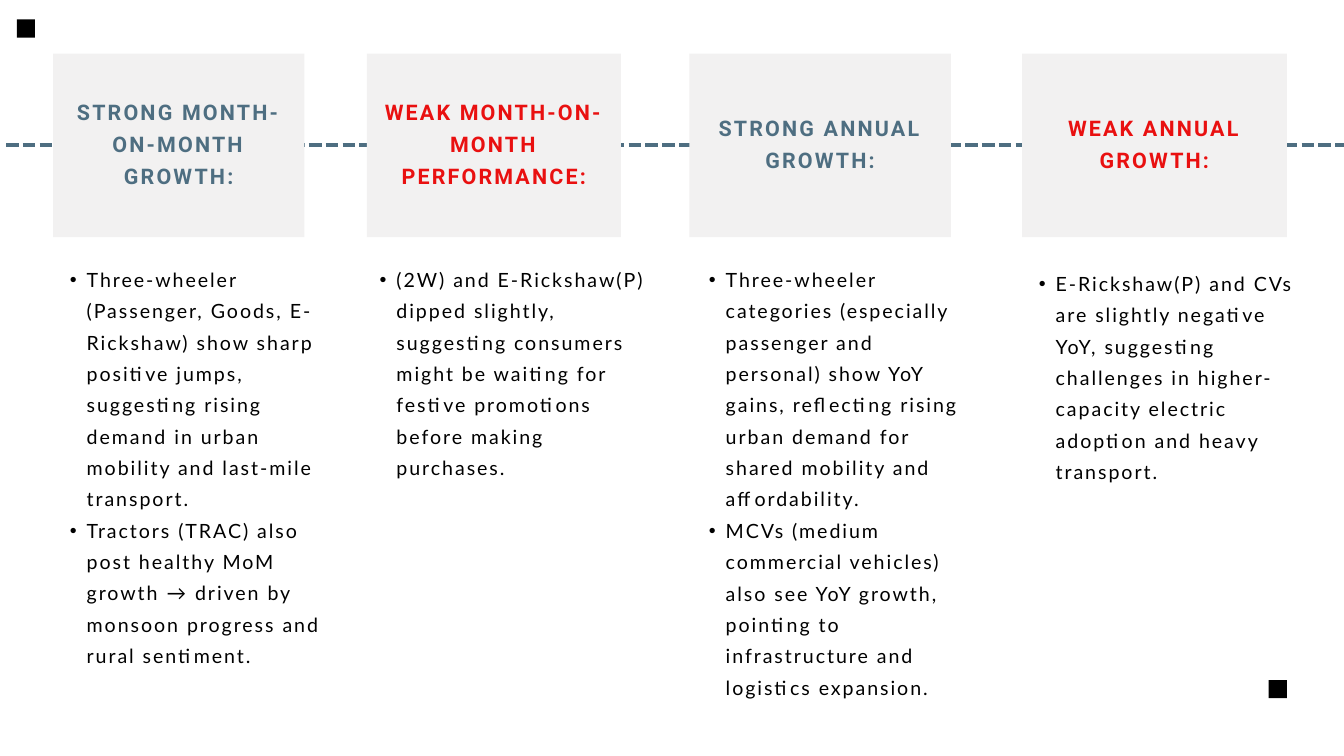
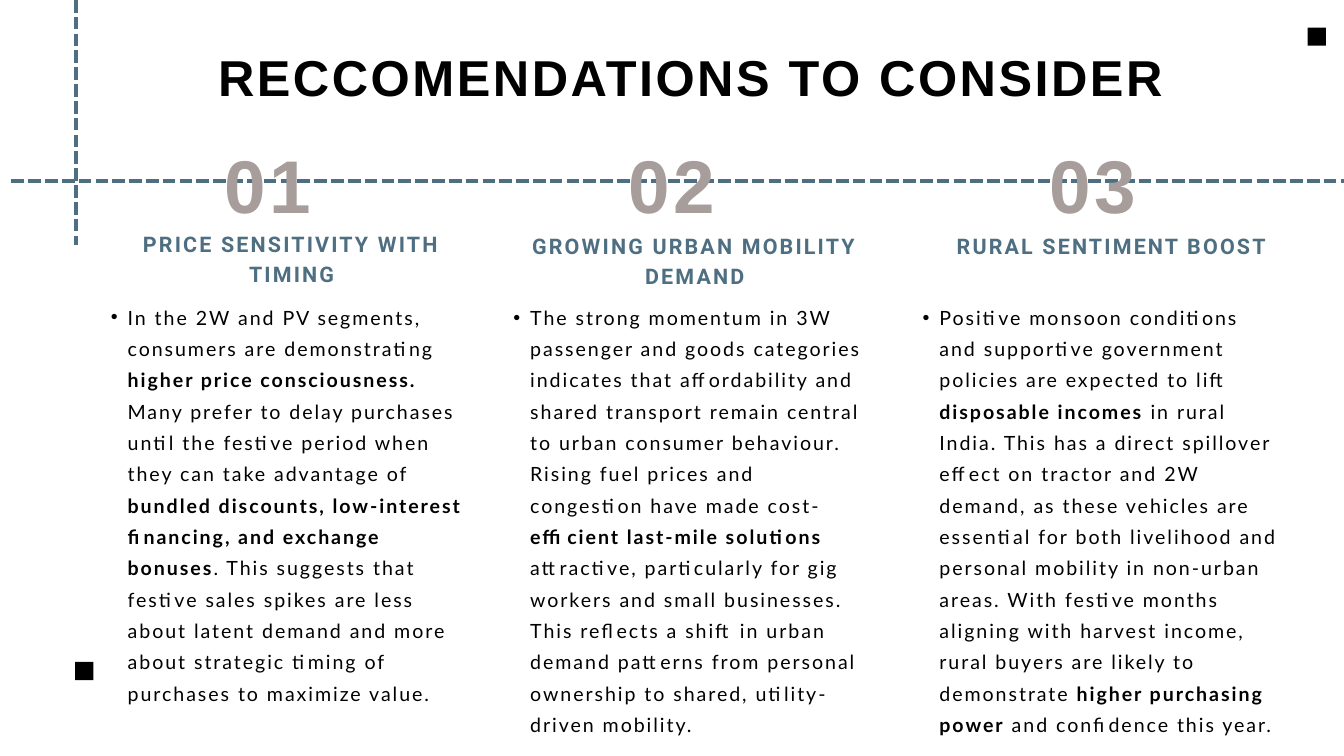
from lxml.etree import SubElement
from pptx import Presentation
from pptx.dml.color import RGBColor
from pptx.enum.dml import MSO_LINE_DASH_STYLE as Dash
from pptx.enum.shapes import MSO_CONNECTOR as Connector, MSO_SHAPE as Shape
from pptx.enum.text import MSO_ANCHOR as Anchor, MSO_AUTO_SIZE as AutoSize, PP_ALIGN as Align
from pptx.oxml.ns import qn
from pptx.util import Inches, Pt

BLACK = RGBColor(0x00, 0x00, 0x00)
STEEL = RGBColor(0x4E, 0x6E, 0x81)
RED = RGBColor(0xE9, 0x10, 0x10)
TAUPE = RGBColor(0xA7, 0x9E, 0x9C)
PALE = RGBColor(0xF2, 0xF1, 0xF1)

COLUMNS, ROWS = 20, 11.25
TITLE_ONLY, BLANK = 5, 6
MARKER_SIZE = 0.27

# Text styles: font values, letter spacing as a share of the size, line height in points
TITLE = {"font": {"name": "Arial", "size": Pt(54), "bold": True}, "color": BLACK,
         "size": 54, "tracking": 0.05, "leading": 75.6}
NUMBER = {"font": {"name": "Arial", "size": Pt(80), "bold": True}, "color": TAUPE,
          "size": 80, "tracking": 0.05, "leading": 112}
HEADING = {"font": {"name": "Roboto", "size": Pt(23), "bold": True}, "color": STEEL,
           "size": 23, "tracking": 0.1, "leading": 32.2}
CARD = {**HEADING, "leading": 34.5}
BODY = {"font": {"name": "Lato", "size": Pt(21), "bold": False}, "color": BLACK,
        "size": 21, "tracking": 0.1, "leading": 33.6}


def set_values(target, values):
    for name, value in values.items():
        setattr(target, name, value)


class Deck:
    """Holds the style and the current slide; places elements by column and row."""

    def __init__(self):
        self.presentation = Presentation()
        set_values(self.presentation, {"slide_width": Inches(20), "slide_height": Inches(11.25)})
        self.slide = None

    def add_slide(self, layout):
        self.slide = self.presentation.slides.add_slide(self.presentation.slide_layouts[layout])

    def x(self, columns):
        return round(self.presentation.slide_width * columns / COLUMNS)

    def y(self, rows):
        return round(self.presentation.slide_height * rows / ROWS)

    def area(self, left, top, width, height):
        return self.x(left), self.y(top), self.x(width), self.y(height)

    def fill_text(self, shape, paragraphs, style, align=Align.CENTER, bullets=False,
                  **frame_values):
        """Fill a shape with text; words between double asterisks are bold."""
        frame = shape.text_frame
        set_values(frame, {"word_wrap": True, "auto_size": AutoSize.NONE,
                           "vertical_anchor": Anchor.TOP, "margin_left": 0, "margin_right": 0,
                           "margin_top": 0, "margin_bottom": 0, **frame_values})
        for index, text in enumerate(paragraphs):
            paragraph = frame.add_paragraph() if index else frame.paragraphs[0]
            set_values(paragraph, {"alignment": align, "line_spacing": Pt(style["leading"]),
                                   "space_before": Pt(0), "space_after": Pt(0)})
            if bullets:
                self.add_bullet(paragraph)
            for part, words in enumerate(text.split("**")):
                run = paragraph.add_run()
                run.text = words
                set_values(run.font, style["font"])
                run.font.color.rgb = style["color"]
                if part % 2:
                    run.font.bold = True
                spacing = round(style["size"] * style["tracking"] * 100)
                run._r.get_or_add_rPr().set("spc", str(spacing))

    def add_bullet(self, paragraph):
        paragraph.level = 1
        properties = paragraph._p.get_or_add_pPr()
        properties.set("marL", str(Inches(0.5)))
        properties.set("indent", str(-Inches(0.25)))
        SubElement(properties, qn("a:buFont")).set("typeface", "Arial")
        SubElement(properties, qn("a:buChar")).set("char", "•")

    def title(self, text, left, top, width, height):
        shape = self.slide.shapes.title
        names = ("left", "top", "width", "height")
        set_values(shape, dict(zip(names, self.area(left, top, width, height))))
        self.fill_text(shape, [text], TITLE)

    def text(self, text, style, *area):
        self.fill_text(self.slide.shapes.add_textbox(*self.area(*area)), [text], style)

    def bullets(self, paragraphs, *area):
        box = self.slide.shapes.add_textbox(*self.area(*area))
        self.fill_text(box, paragraphs, BODY, align=Align.LEFT, bullets=True)

    def block(self, color, *area):
        shape = self.slide.shapes.add_shape(Shape.RECTANGLE, *self.area(*area))
        shape.shadow.inherit = False
        shape.fill.solid()
        shape.fill.fore_color.rgb = color
        shape.line.fill.background()
        return shape

    def card(self, text, color, *area):
        self.fill_text(self.block(PALE, *area), [text], {**CARD, "color": color},
                       vertical_anchor=Anchor.MIDDLE, margin_left=Inches(0.06),
                       margin_right=Inches(0.06), margin_top=Inches(0.06),
                       margin_bottom=Inches(0.2))

    def marker(self, left, top):
        self.block(BLACK, left, top, MARKER_SIZE, MARKER_SIZE)

    def dashed_line(self, left, top, right, bottom):
        line = self.slide.shapes.add_connector(Connector.STRAIGHT, self.x(left), self.y(top),
                                               self.x(right), self.y(bottom))
        set_values(line.line, {"width": Pt(4.5), "dash_style": Dash.SQUARE_DOT})
        line.line.color.rgb = STEEL
        SubElement(line._element.spPr, qn("a:effectLst"))


# Card: heading, colour, left, width; bullets: left, top, height, paragraphs
GROWTH = [
    (("STRONG MONTH-ON-MONTH GROWTH:", STEEL, 0.79, 3.74), (0.79, 3.87, 5.94, [
        "Three-wheeler (Passenger, Goods, E-Rickshaw) show sharp positive jumps, suggesting "
        "rising demand in urban mobility and last-mile transport.",
        "Tractors (TRAC) also post healthy MoM growth → driven by monsoon progress and rural "
        "sentiment."])),
    (("WEAK MONTH-ON-MONTH PERFORMANCE:", RED, 5.46, 3.78), (5.4, 3.87, 3.19, [
        "(2W) and E-Rickshaw(P) dipped slightly, suggesting consumers might be waiting for "
        "festive promotions before making purchases."])),
    (("STRONG ANNUAL GROWTH:", STEEL, 10.26, 3.89), (10.3, 3.87, 6.39, [
        "Three-wheeler categories (especially passenger and personal) show YoY gains, "
        "reflecting rising urban demand for shared mobility and affordability.",
        "MCVs (medium commercial vehicles) also see YoY growth, pointing to infrastructure "
        "and logistics expansion."])),
    (("WEAK ANNUAL GROWTH:", RED, 15.21, 3.94), (15.21, 3.93, 3.19, [
        "E-Rickshaw(P) and CVs are slightly negative YoY, suggesting challenges in "
        "higher-capacity electric adoption and heavy transport."])),
]

# Number left; heading, its left, top and height; advice left, height and text
RECOMMENDATIONS = [
    (1.37, ("PRICE SENSITIVITY WITH TIMING", 1.73, 3.38, 0.86), (1.4, 5.94,
        "In the 2W and PV segments, consumers are demonstrating **higher price "
        "consciousness.** Many prefer to delay purchases until the festive period when they "
        "can take advantage of **bundled discounts, low-interest financing, and exchange "
        "bonuses**. This suggests that festive sales spikes are less about latent demand and "
        "more about strategic timing of purchases to maximize value.")),
    (7.39, ("GROWING URBAN MOBILITY DEMAND", 7.73, 3.41, 0.86), (7.39, 6.39,
        "The strong momentum in 3W passenger and goods categories indicates that "
        "affordability and shared transport remain central to urban consumer behaviour. "
        "Rising fuel prices and congestion have made cost-**efficient last-mile solutions** "
        "attractive, particularly for gig workers and small businesses. This reflects a shift "
        "in urban demand patterns from personal ownership to shared, utility-driven "
        "mobility.")),
    (13.65, ("RURAL SENTIMENT BOOST", 13.93, 3.41, 0.43), (13.48, 6.39,
        "Positive monsoon conditions and supportive government policies are expected to lift "
        "**disposable incomes** in rural India. This has a direct spillover effect on tractor "
        "and 2W demand, as these vehicles are essential for both livelihood and personal "
        "mobility in non-urban areas. With festive months aligning with harvest income, rural "
        "buyers are likely to demonstrate** higher purchasing power** and confidence this "
        "year.")),
]


def build_growth(deck):
    deck.add_slide(BLANK)
    deck.dashed_line(0.09, 2.16, COLUMNS, 2.16)
    for (heading, color, card_left, card_width), (left, top, height, paragraphs) in GROWTH:
        deck.card(heading, color, card_left, 0.8, card_width, 2.73)
        deck.bullets(paragraphs, left, top, 4.23, height)
    deck.marker(18.88, 10.12)
    deck.marker(0.25, 0.29)


def build_recommendations(deck):
    deck.add_slide(TITLE_ONLY)
    deck.title("RECCOMENDATIONS TO CONSIDER", 1.4, 0.53, 17.76, 1.04)
    # Crossing lines lie behind the numbers
    deck.dashed_line(0.17, 2.69, COLUMNS, 2.69)
    deck.dashed_line(1.13, 0, 1.13, 3.65)
    for index, (number_left, heading, advice) in enumerate(RECOMMENDATIONS, start=1):
        deck.text(f"{index:02}", NUMBER, number_left, 1.84, 5.22, 1.55)
        name, heading_left, heading_top, heading_height = heading
        deck.text(name, HEADING, heading_left, heading_top, 5.22, heading_height)
        left, height, words = advice
        deck.bullets([words], left, 4.43, 5.57, height)
    deck.marker(1.12, 9.85)
    deck.marker(19.46, 0.41)


def main():
    deck = Deck()
    build_growth(deck)
    build_recommendations(deck)
    deck.presentation.save("out.pptx")


if __name__ == "__main__":
    main()
